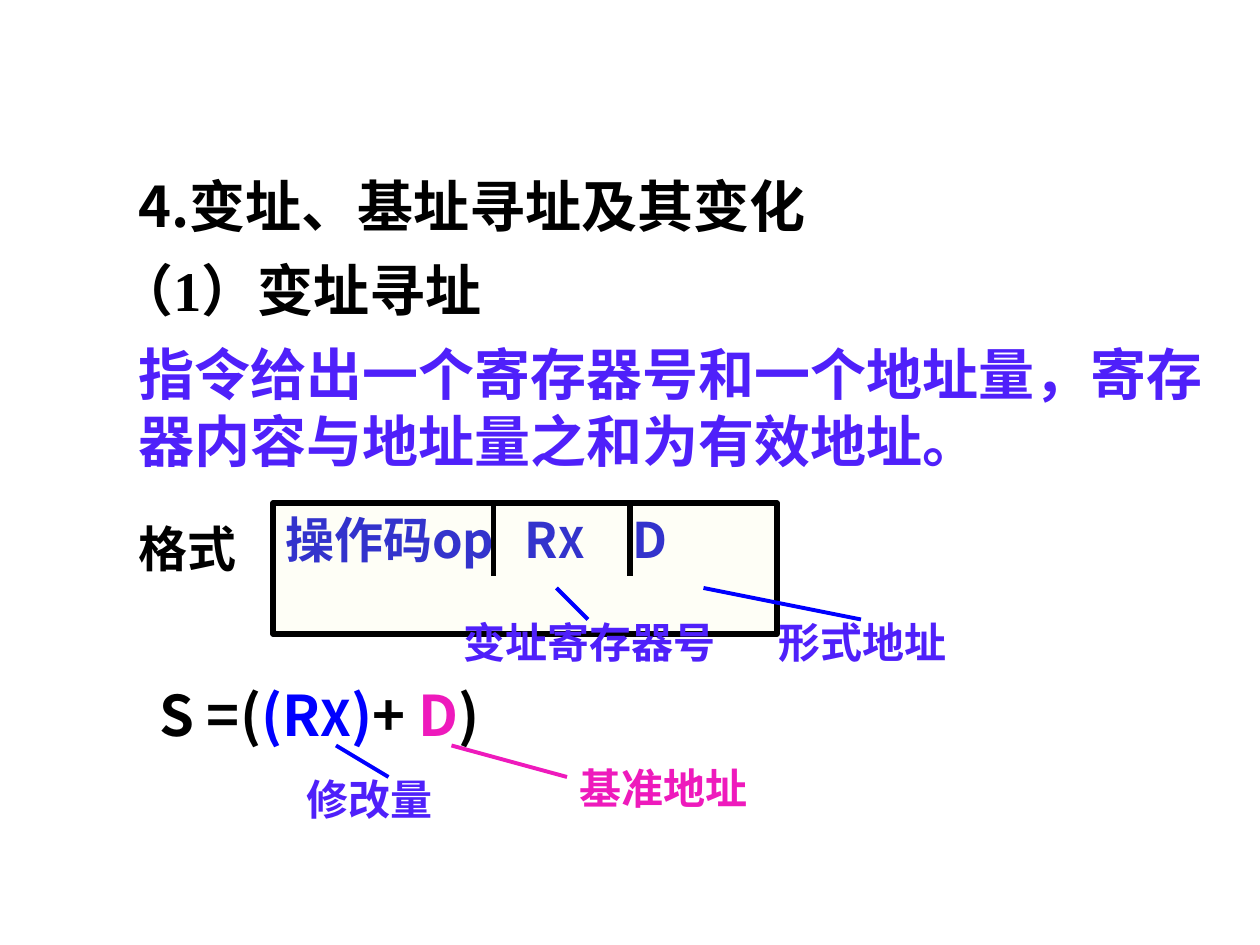
from dataclasses import dataclass
from typing import Any, Optional

from lxml.etree import SubElement
from pptx import Presentation
from pptx.dml.color import RGBColor
from pptx.enum.shapes import MSO_CONNECTOR as Wire, MSO_SHAPE as Form
from pptx.enum.text import MSO_ANCHOR as Anchor, PP_ALIGN as Align
from pptx.oxml.ns import qn
from pptx.util import Inches, Pt

# The slide is a grid of 120 columns by 90 rows.
COLS, ROWS = 120, 90
WIDTH, HEIGHT = Inches(10), Inches(7.5)

BLACK = RGBColor(0x00, 0x00, 0x00)
WHITE = RGBColor(0xFF, 0xFF, 0xFF)
IVORY = RGBColor(0xFE, 0xFE, 0xF6)
BLUE = RGBColor(0x00, 0x00, 0xFF)
NAVY = RGBColor(0x33, 0x33, 0xCC)
VIOLET = RGBColor(0x4F, 0x20, 0xFA)
PINK = RGBColor(0xEE, 0x1A, 0xBC)
SANS, SERIF = "Noto Sans CJK SC", "Times New Roman"


@dataclass(frozen=True)
class Span:
    text: str
    size: int
    color: RGBColor = BLACK
    font: str = SANS


@dataclass(frozen=True)
class Block:
    col: float
    row: float
    cols: float
    rows: float
    spans: tuple[Span, ...]
    fill: Optional[RGBColor] = None
    edge: Optional[RGBColor] = None
    stops: tuple[float, ...] = ()
    pitch: Optional[float] = None


@dataclass(frozen=True)
class Link:
    start: tuple[float, float]
    end: tuple[float, float]
    color: RGBColor = BLUE
    weight: float = 2.25


def across(cols: float) -> int:
    return round(WIDTH * cols / COLS)


def down(rows: float) -> int:
    return round(HEIGHT * rows / ROWS)


def write(frame: Any, block: Block) -> None:
    frame.word_wrap = True
    frame.vertical_anchor = Anchor.TOP
    para = frame.paragraphs[0]
    para.alignment = Align.LEFT
    if block.pitch:
        para.line_spacing = block.pitch
    if block.stops:
        tabs = SubElement(para._p.get_or_add_pPr(), qn("a:tabLst"))
        for stop in block.stops:
            SubElement(tabs, qn("a:tab"), pos=str(across(stop)), algn="l")
    for span in block.spans:
        run = para.add_run()
        run.text = span.text
        font = run.font
        font.size, font.bold, font.name = Pt(span.size), True, span.font
        font.color.rgb = span.color
        SubElement(run._r.get_or_add_rPr(), qn("a:ea"), typeface=SANS)


def place(shapes: Any, block: Block) -> None:
    """Draw a block as a rectangle if it is filled, else as a text box."""
    area = (across(block.col), down(block.row),
            across(block.cols), down(block.rows))
    if block.fill is None:
        shape = shapes.add_textbox(*area)
    else:
        shape = shapes.add_shape(Form.RECTANGLE, *area)
        shape.shadow.inherit = False
        shape.fill.solid()
        shape.fill.fore_color.rgb = block.fill
        if block.edge is None:
            shape.line.fill.background()
        else:
            shape.line.color.rgb = block.edge
            shape.line.width = Pt(3)
    write(shape.text_frame, block)


def join(shapes: Any, link: Link) -> None:
    (left, top), (right, low) = link.start, link.end
    line = shapes.add_connector(Wire.STRAIGHT, across(left), down(top),
                                across(right), down(low))
    line.line.color.rgb = link.color
    line.line.width = Pt(link.weight)
    SubElement(line._element.spPr, qn("a:effectLst"))


def label(col: float, row: float, cols: float, text: str,
          color: RGBColor = VIOLET) -> Block:
    return Block(col, row, cols, 6, (Span(text, 24, color),))


TOP = 47.9
FORMAT = Block(26, TOP, 48, 12.5, (
    Span("操作码", 28, NAVY, SERIF), Span("op\tR", 28, NAVY),
    Span("X\t", 24, NAVY), Span("D", 28, NAVY),
), IVORY, BLACK, stops=(22.8, 33.1))
RULES = [Link((col, TOP), (col, TOP + 7), BLACK, 3) for col in (47, 60)]

BLOCKS = [
    Block(12, 15.75, 74, 7.7, (Span("4.变址、基址寻址及其变化", 32),)),
    Block(10, 23.75, 46, 7.7, (Span("（1）变址寻址", 32, BLACK, SERIF),)),
    Block(12, 31.7, 105, 14, (
        Span("指令给出一个寄存器号和一个地址量，寄存器内容与地址量之和为有效地址。",
             32, VIOLET, SERIF),), WHITE),
    Block(12, 48.75, 14, 6.85, (Span("格式", 28, BLACK, SERIF),)),
    label(43, 58.1, 30, "变址寄存器号"),
    label(73, 58.1, 20, "形式地址"),
    Block(14, 66, 43, 5.8, (
        Span("S =(", 32), Span("(R", 32, BLUE), Span("X", 28, BLUE),
        Span(")", 32, BLUE), Span("+ ", 32), Span("D", 32, PINK),
        Span(")", 32)), pitch=0.7),
    label(28, 73.1, 20, "修改量"),
    label(54, 72, 20, "基准地址", PINK),
]
LINKS = [
    Link((53, 56), (56, 59)),
    Link((67, 56), (82, 59)),
    Link((32, 71), (37, 74)),
    Link((43, 71), (54, 74), PINK),
]


def main() -> None:
    deck = Presentation()
    deck.slide_width, deck.slide_height = WIDTH, HEIGHT
    shapes = deck.slides.add_slide(deck.slide_layouts[6]).shapes
    group = shapes.add_group_shape().shapes
    place(group, FORMAT)
    for rule in RULES:
        join(group, rule)
    for block in BLOCKS:
        place(shapes, block)
    for link in LINKS:
        join(shapes, link)
    deck.save("out.pptx")


if __name__ == "__main__":
    main()
